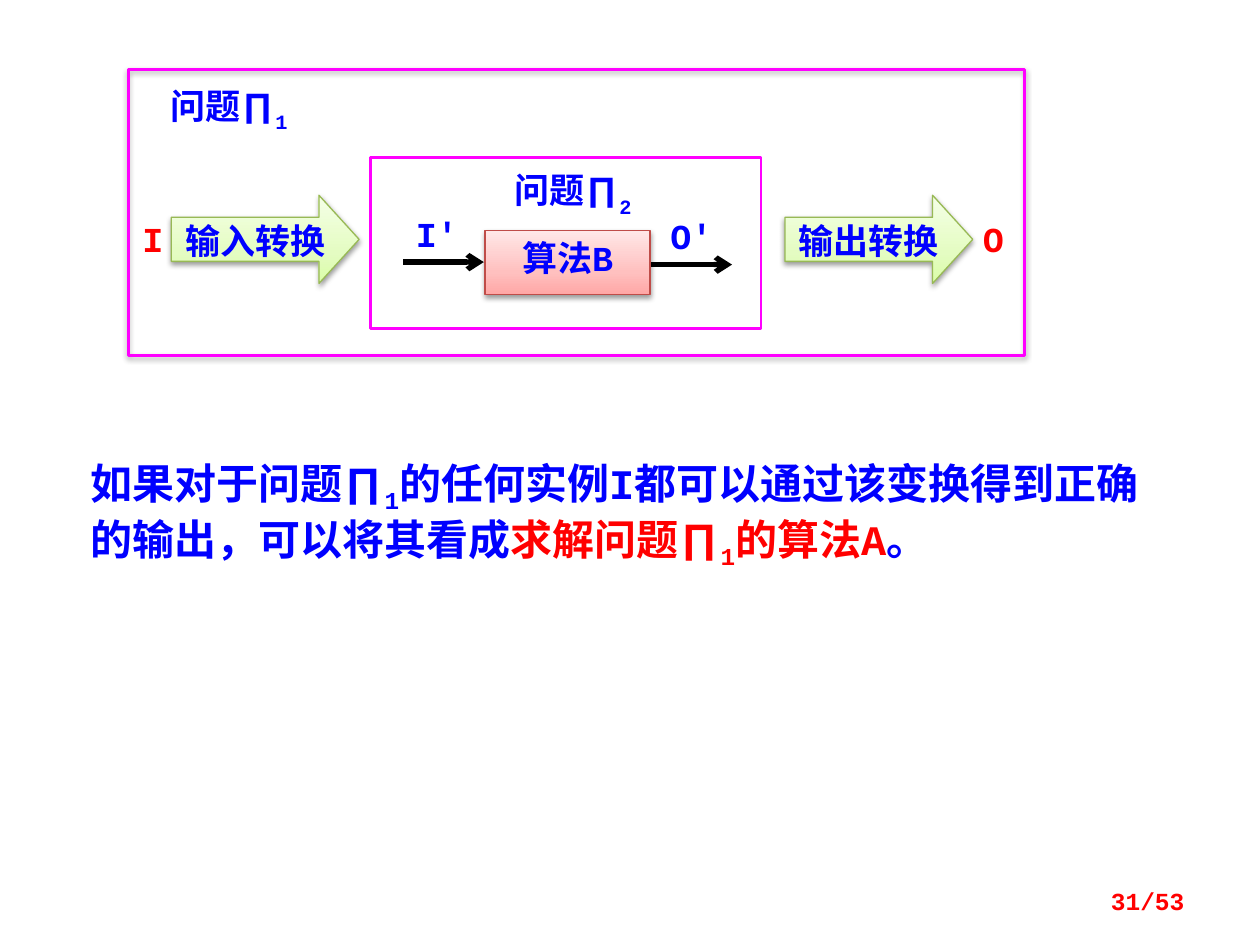
from copy import deepcopy

from pptx import Presentation
from pptx.dml.color import RGBColor
from pptx.enum.shapes import MSO_CONNECTOR, MSO_SHAPE
from pptx.enum.text import MSO_ANCHOR, MSO_AUTO_SIZE, PP_ALIGN
from pptx.oxml import parse_xml
from pptx.oxml.ns import nsdecls, qn
from pptx.util import Inches, Pt

FONT = "Courier New"
COLORS = {
    "text": "0000FF",
    "accent": "FF0000",
    "frame": "FF00FF",
    "flow": "000000",
    "paper": "FFFFFF",
    "algorithm_line": "BF4C48",
    "transform_line": "98B955",
}
ALGORITHM_STOPS = [(0, "FFA6A5"), (0.35, "FFC0BF"), (1, "FFE7E7")]
TRANSFORM_STOPS = [(0, "DAFDA7"), (0.35, "E4FCC2"), (1, "F5FFE7")]


def rgb(name):
    return RGBColor.from_string(COLORS[name])


def set_insets(frame, left=0, top=0, right=0, bottom=0):
    frame.margin_left, frame.margin_top = Inches(left), Inches(top)
    frame.margin_right, frame.margin_bottom = Inches(right), Inches(bottom)


def write(frame, runs, size=20, align=PP_ALIGN.LEFT):
    """Fill the first paragraph with (text, colour name, baseline percent) runs."""
    frame.word_wrap = True
    paragraph = frame.paragraphs[0]
    paragraph.alignment = align
    paragraph.font.name = FONT
    paragraph.font.size = Pt(size)
    paragraph.font.bold = True
    for text, color, baseline in runs:
        run = paragraph.add_run()
        run.text = text
        run.font.color.rgb = rgb(color)
        if baseline:
            run.font._element.set("baseline", str(baseline * 1000))
    return paragraph


def add_block(slide, preset, box, line=None, width=1.5):
    block = slide.shapes.add_shape(preset, *map(Inches, box))
    block.shadow.inherit = False
    if line:
        block.line.color.rgb = rgb(line)
        block.line.width = Pt(width)
    else:
        block.line.fill.background()
    frame = block.text_frame
    frame.vertical_anchor = MSO_ANCHOR.TOP
    set_insets(frame)
    return block


def fill_plain(block):
    block.fill.solid()
    block.fill.fore_color.rgb = rgb("paper")


def fill_gradient(block, stops):
    """Run the stops from the bottom edge up."""
    block.fill.gradient()
    block.fill.gradient_angle = 90
    stop_list = block._element.spPr.find(qn("a:gradFill")).find(qn("a:gsLst"))
    stop_list.append(deepcopy(stop_list[-1]))
    for stop, (position, color) in zip(block.fill.gradient_stops, stops):
        stop.position = position
        stop.color.rgb = RGBColor.from_string(color)


def add_shadow(block):
    effects = block._element.spPr.find(qn("a:effectLst"))
    effects.append(parse_xml(
        f'<a:outerShdw {nsdecls("a")} blurRad="{Pt(3.1)}" dist="{Pt(1.6)}" '
        'dir="5400000" rotWithShape="0"><a:srgbClr val="000000">'
        '<a:alpha val="38000"/></a:srgbClr></a:outerShdw>'))


def add_label(slide, box, text, color="text", subscript=None):
    label = add_block(slide, MSO_SHAPE.RECTANGLE, box)
    fill_plain(label)
    runs = [(text, color, 0)]
    if subscript:
        runs.append((subscript, color, -30))
    write(label.text_frame, runs)


def add_flow(slide, left, top, length=0.64):
    flow = slide.shapes.add_connector(
        MSO_CONNECTOR.STRAIGHT, Inches(left), Inches(top),
        Inches(left + length), Inches(top))
    flow.line.color.rgb = rgb("flow")
    flow.line.width = Pt(3)
    flow.line._ln.append(parse_xml(f'<a:tailEnd {nsdecls("a")} type="arrow"/>'))
    flow._element.spPr.append(parse_xml(f'<a:effectLst {nsdecls("a")}/>'))


def add_transform(slide, left, text):
    transform = add_block(slide, MSO_SHAPE.RIGHT_ARROW, (left, 1.55, 1.49, 0.7),
                          "transform_line", 0.75)
    transform.adjustments[0] = 0.5
    transform.adjustments[1] = 0.455
    fill_gradient(transform, TRANSFORM_STOPS)
    add_shadow(transform)
    set_insets(transform.text_frame, top=0.02)
    write(transform.text_frame, [(text, "text", 0)], align=PP_ALIGN.CENTER)


def add_algorithm(slide):
    algorithm = add_block(slide, MSO_SHAPE.RECTANGLE, (3.85, 1.83, 1.31, 0.51),
                          "algorithm_line", 0.75)
    fill_gradient(algorithm, ALGORITHM_STOPS)
    add_shadow(algorithm)
    set_insets(algorithm.text_frame, top=0.05, bottom=0.05)
    write(algorithm.text_frame, [("算法B", "text", 0)], align=PP_ALIGN.CENTER)


def add_diagram(slide):
    add_label(slide, (1.13, 1.73, 0.22, 0.35), "I", "accent")
    inner_problem = add_block(slide, MSO_SHAPE.RECTANGLE,
                              (2.94, 1.25, 3.1, 1.36), "frame")
    fill_plain(inner_problem)
    add_label(slide, (3.3, 1.69, 0.36, 0.35), "I'")
    add_label(slide, (5.32, 1.7, 0.36, 0.35), "O'")
    add_label(slide, (1.35, 0.67, 1.17, 0.35), "问题∏", subscript="1")
    add_label(slide, (4.08, 1.34, 1.08, 0.35), "问题∏", subscript="2")
    add_algorithm(slide)
    add_flow(slide, 3.2, 2.08)
    add_flow(slide, 5.17, 2.1)
    add_transform(slide, 1.36, "输入转换")
    add_label(slide, (7.8, 1.73, 0.22, 0.35), "O", "accent")
    add_transform(slide, 6.23, "输出转换")
    outer_problem = add_block(slide, MSO_SHAPE.RECTANGLE,
                              (1.02, 0.55, 7.11, 2.27), "frame")
    outer_problem.fill.background()
    add_shadow(outer_problem)


def add_conclusion(slide):
    box = slide.shapes.add_textbox(*map(Inches, (0.62, 3.59, 8.59, 1)))
    box.text_frame.auto_size = MSO_AUTO_SIZE.SHAPE_TO_FIT_TEXT
    conclusion = write(box.text_frame, [
        ("如果对于问题∏", "text", 0),
        ("1", "text", -25),
        ("的任何实例I都可以通过该变换得到正确的输出，可以将其看成", "text", 0),
        ("求解问题∏", "accent", 0),
        ("1", "accent", -25),
        ("的算法A", "accent", 0),
        ("。", "text", 0),
    ], size=24)
    conclusion.line_spacing = Pt(32)


def add_page_number(slide):
    box = slide.shapes.add_textbox(*map(Inches, (7.17, 6.95, 2.33, 0.4)))
    box.text_frame.vertical_anchor = MSO_ANCHOR.MIDDLE
    write(box.text_frame, [("31/53", "accent", 0)], size=14, align=PP_ALIGN.RIGHT)


def main():
    deck = Presentation()
    deck.slide_width, deck.slide_height = Inches(10), Inches(7.5)
    slide = deck.slides.add_slide(deck.slide_layouts[6])
    add_diagram(slide)
    add_conclusion(slide)
    add_page_number(slide)
    deck.save("out.pptx")


if __name__ == "__main__":
    main()
